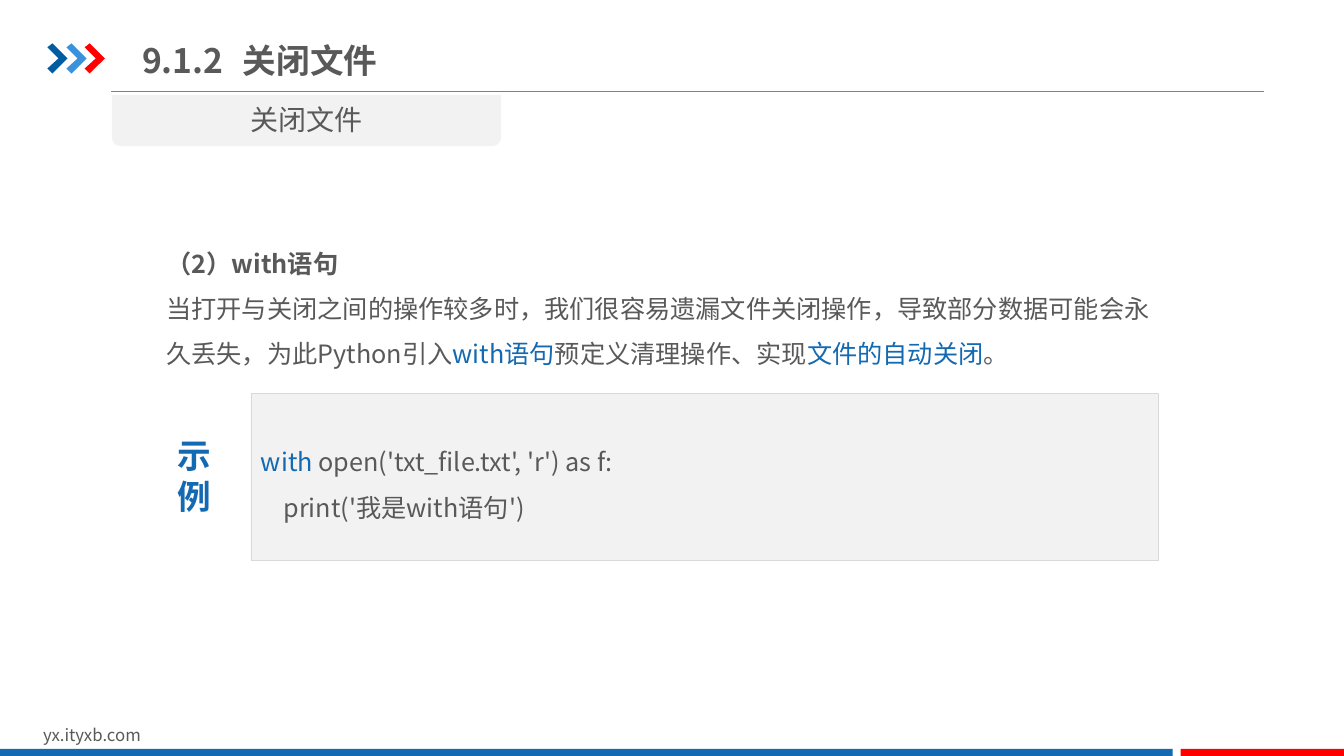
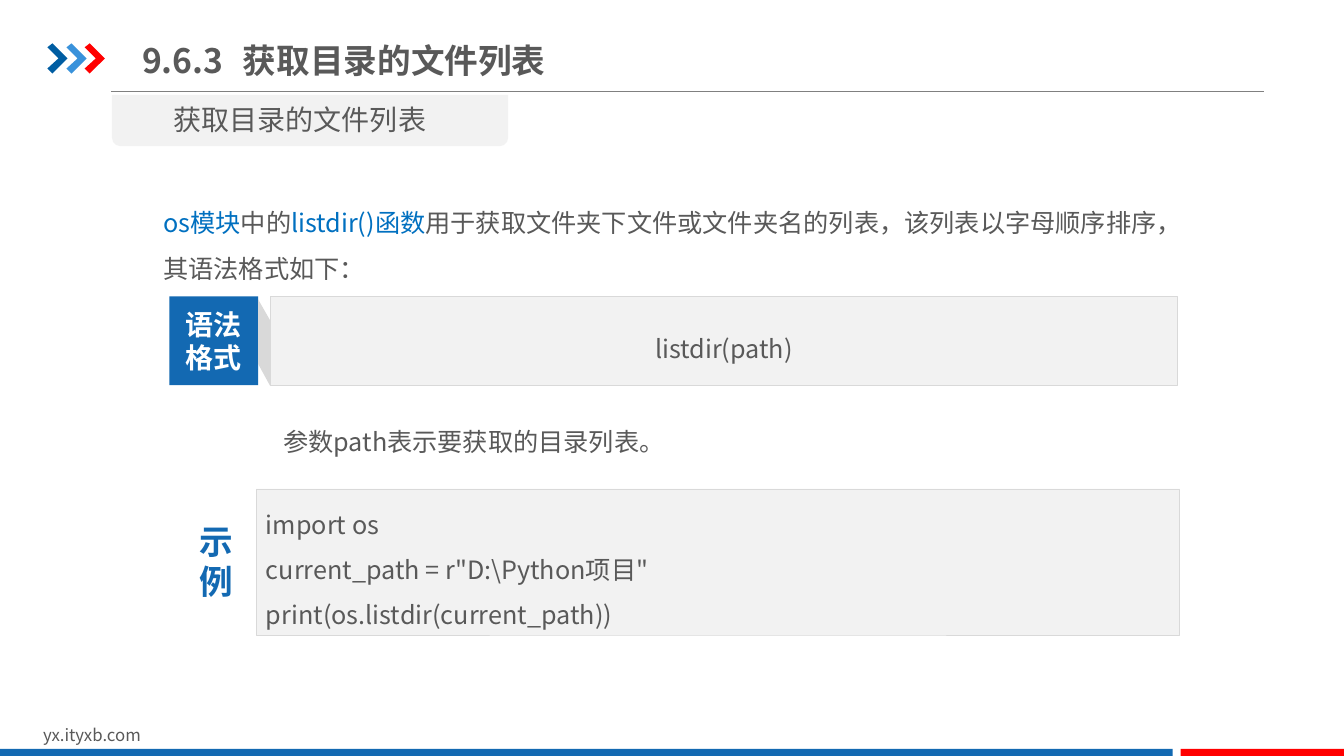
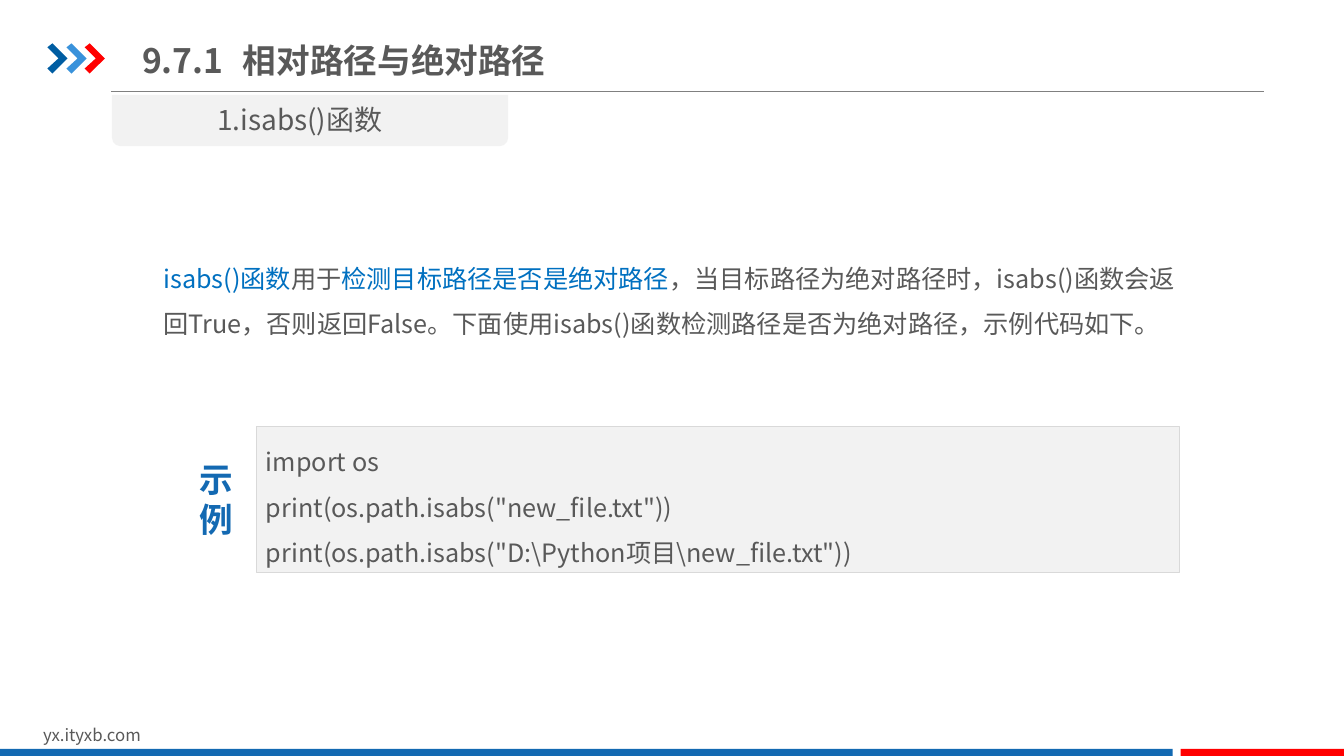
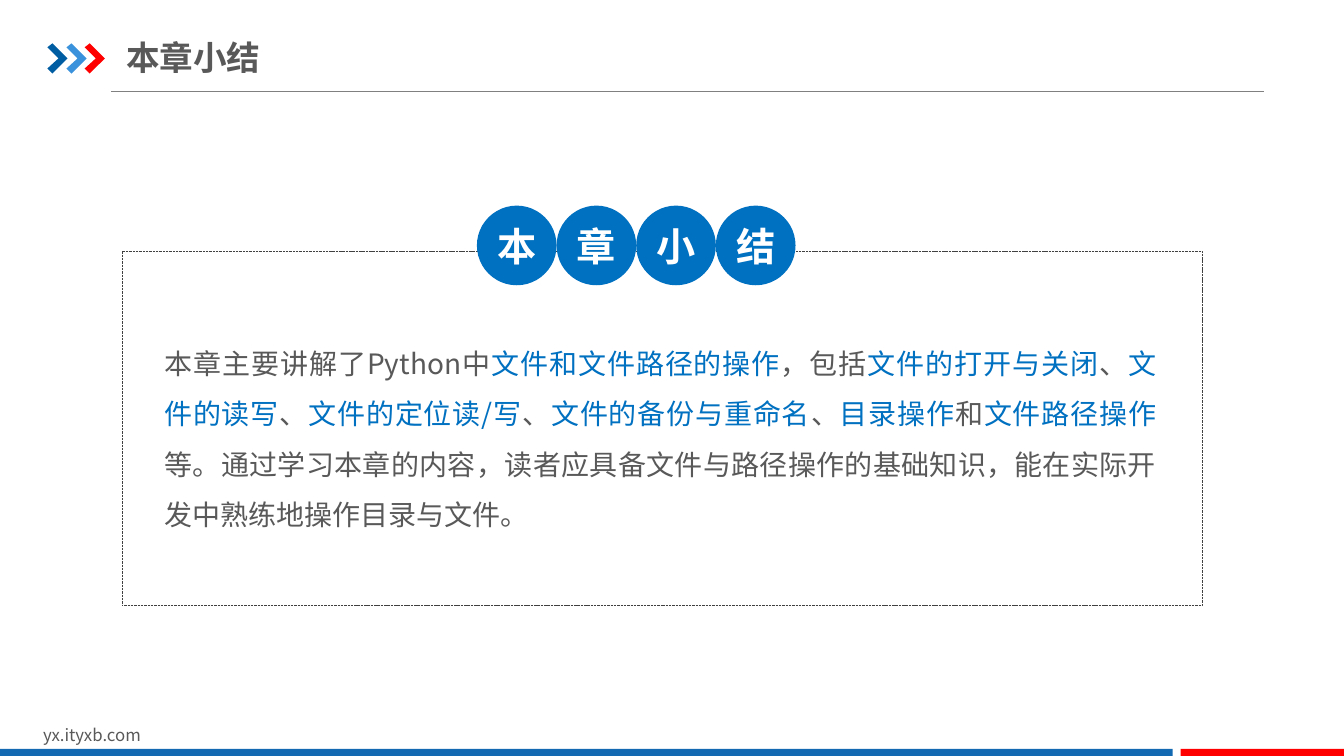
import lxml.etree
import pptx
import pptx.dml.color
import pptx.enum.dml
import pptx.enum.shapes
import pptx.enum.text
import pptx.oxml.ns
import pptx.util

PX = 9144
FONT = "Noto Sans CJK SC"
GREY = "595959"
BLUE = "1369B2"
ACCENT = "0070C0"
RED = "FF0000"
WHITE = "FFFFFF"
PANEL = "F2F2F2"
EDGE = "D9D9D9"
SHAPES = pptx.enum.shapes.MSO_SHAPE
ALIGN = pptx.enum.text.PP_ALIGN
ANCHOR = pptx.enum.text.MSO_ANCHOR
DASH = pptx.enum.dml.MSO_LINE.SQUARE_DOT

TITLE = {"size": 24, "bold": True, "anchor": ANCHOR.MIDDLE}
BODY = {"size": 18, "spacing": 1.5}
SUMMARY = {"size": 20, "spacing": 1.5, "align": ALIGN.JUSTIFY, "inset": (0, 0)}
CODE = {"size": 18, "spacing": 1.5, "anchor": ANCHOR.MIDDLE}
SYNTAX = {**CODE, "align": ALIGN.CENTER}
SECTION = {"size": 20, "align": ALIGN.CENTER}
EXAMPLE = {"size": 24, "bold": True, "colour": BLUE, "align": ALIGN.CENTER, "wrap": False}
LABEL = {"size": 20, "bold": True, "colour": WHITE, "align": ALIGN.CENTER,
         "anchor": ANCHOR.MIDDLE, "wrap": False}
CIRCLE = {**LABEL, "size": 28, "inset": (0, 0)}
FOOTER = {"size": 12}


def px(*lengths):
    return [length * PX for length in lengths]


def rgb(colour):
    return pptx.dml.color.RGBColor.from_string(colour)


def set_values(target, values):
    for name, value in values.items():
        setattr(target, name, value)


def add_element(parent, tag, **attributes):
    return lxml.etree.SubElement(parent, pptx.oxml.ns.qn(tag), **attributes)


def add_run(paragraph, text, colour, text_format):
    run = paragraph.add_run()
    run.text = text
    set_values(run.font, {
        "name": FONT,
        "size": pptx.util.Pt(text_format["size"]),
        "bold": text_format.get("bold", False),
    })
    run.font.color.rgb = rgb(colour)
    add_element(run.font._element, "a:ea", typeface=FONT)


def write(shape, paragraphs, text_format, tab=None):
    frame = shape.text_frame
    across, down = px(*text_format.get("inset", (10, 5)))
    set_values(frame, {
        "word_wrap": text_format.get("wrap", True),
        "auto_size": pptx.enum.text.MSO_AUTO_SIZE.NONE,
        "vertical_anchor": text_format.get("anchor", ANCHOR.TOP),
        "margin_left": across, "margin_right": across,
        "margin_top": down, "margin_bottom": down,
    })
    for index, runs in enumerate(paragraphs):
        paragraph = frame.add_paragraph() if index else frame.paragraphs[0]
        properties = paragraph._p.get_or_add_pPr()
        set_values_on_element = {"marL": "0", "indent": "0"}
        for name, value in set_values_on_element.items():
            properties.set(name, value)
        add_element(properties, "a:buNone")
        if tab:
            tabs = add_element(properties, "a:tabLst")
            add_element(tabs, "a:tab", pos=str(tab * PX), algn="l")
        set_values(paragraph, {
            "alignment": text_format.get("align", ALIGN.LEFT),
            "line_spacing": text_format.get("spacing", 1.0),
            "space_before": pptx.util.Pt(0),
        })
        for run in [runs] if isinstance(runs, str) else runs:
            text, colour = (run, text_format.get("colour", GREY)) if isinstance(run, str) else run
            add_run(paragraph, text, colour, text_format)


def paint(shape, fill=None, line=None, dash=None):
    shape.shadow.inherit = False
    if fill:
        shape.fill.solid()
        shape.fill.fore_color.rgb = rgb(fill)
    else:
        shape.fill.background()
    if line:
        shape.line.color.rgb = rgb(line)
        set_values(shape.line, {"width": pptx.util.Pt(0.25), "dash_style": dash})
    else:
        shape.line.fill.background()
    return shape


def add_shape(slide, kind, box, **colours):
    return paint(slide.shapes.add_shape(kind, *px(*box)), **colours)


def add_outline(slide, points, fill):
    builder = slide.shapes.build_freeform(*points[0], scale=PX)
    builder.add_line_segments(points[1:], close=True)
    return paint(builder.convert_to_shape(), fill)


def add_text(slide, box, paragraphs, text_format):
    shape = slide.shapes.add_textbox(*px(*box))
    write(shape, paragraphs, text_format)
    return shape


def add_rule(slide, start, end):
    rule = slide.shapes.add_connector(
        pptx.enum.shapes.MSO_CONNECTOR.STRAIGHT, *px(*start, *end))
    rule.line.color.rgb = rgb("808080")
    rule.line.width = pptx.util.Pt(0.75)
    add_element(rule.element.spPr, "a:effectLst")
    return rule


def add_chevron(slide, left, fill):
    outline = [(0, 4), (5, 0), (20, 15), (5, 30), (0, 25), (11, 15)]
    return add_outline(slide, [(left + x, 43 + y) for x, y in outline], fill)


def decorate_layout(layout, slide):
    decorations = [add_rule(slide, (110, 91), (1254, 91))]
    for left, fill in [(47, "005DA2"), (66, "3992DB"), (84, RED)]:
        decorations.append(add_chevron(slide, left, fill))
    decorations.append(add_text(slide, (33, 714, 318, 30), ["yx.ityxb.com"], FOOTER))
    for left, width, fill in [(0, 1163, BLUE), (1171, 163, RED)]:
        decorations.append(add_shape(slide, SHAPES.RECTANGLE, (left, 743, width, 9), fill=fill))
    for shape in decorations:
        layout.shapes.element.append(shape.element)


def fill_placeholder(shape, box, paragraphs, text_format, tab=None):
    set_values(shape, dict(zip(("left", "top", "width", "height"), px(*box))))
    write(shape, paragraphs, text_format, tab)


def add_slide(presentation, title, title_left, body_box, body, body_format=BODY):
    layout = presentation.slide_layouts[1]
    slide = presentation.slides.add_slide(layout)
    if len(presentation.slides) == 1:
        decorate_layout(layout, slide)
    fill_placeholder(slide.shapes.title, (title_left, 29, 620, 61), [title], TITLE, tab=104)
    fill_placeholder(slide.placeholders[1], body_box, body, body_format)
    return slide


def add_section(slide, text, tab_width, text_width):
    tab = add_shape(slide, SHAPES.ROUND_2_SAME_RECTANGLE, (111, 94, tab_width, 51), fill=PANEL)
    tab.rotation = 180
    add_text(slide, (111, 97, text_width, 44), [text], SECTION)


def add_panel(slide, box, paragraphs, text_format):
    write(add_shape(slide, SHAPES.RECTANGLE, box, fill=PANEL, line=EDGE), paragraphs, text_format)


def add_example(slide, box, label_left, code):
    add_panel(slide, box, code, CODE)
    label_top = box[1] + (box[3] - 91) // 2
    add_text(slide, (label_left, label_top, 54, 91), ["示", "例"], EXAMPLE)


def build_close_file(presentation):
    slide = add_slide(presentation, "9.1.2\t关闭文件", 131, (155, 226, 1016, 146), [
        "（2）with语句",
        ["当打开与关闭之间的操作较多时，我们很容易遗漏文件关闭操作，导致部分数据可能会永久丢失，为此Python引入",
         ("with语句", BLUE), "预定义清理操作、实现", ("文件的自动关闭", BLUE), "。"],
    ])
    slide.placeholders[1].text_frame.paragraphs[0].runs[0].font.bold = True
    add_example(slide, (249, 390, 900, 166), 166, [
        [("with", BLUE), " open('txt_file.txt', 'r') as f:"],
        "    print('我是with语句')",
    ])
    add_section(slide, "关闭文件", 386, 386)


def build_list_directory(presentation):
    slide = add_slide(presentation, "9.6.3\t获取目录的文件列表", 131, (152, 186, 1032, 101), [
        [("os模块", ACCENT), "中的", ("listdir()函数", ACCENT),
         "用于获取文件夹下文件或文件夹名的列表，该列表以字母顺序排序，其语法格式如下："],
    ])
    add_section(slide, "获取目录的文件列表", 393, 373)
    add_panel(slide, (268, 294, 900, 88), ["listdir(path)"], SYNTAX)
    label = add_shape(slide, SHAPES.RECTANGLE, (168, 294, 88, 88), fill=BLUE)
    write(label, ["语法", "格式"], LABEL)
    add_outline(slide, [(268, 318), (268, 383), (256, 361), (256, 297)], EDGE)
    add_text(slide, (271, 403, 760, 55), ["参数path表示要获取的目录列表。"], BODY)
    add_example(slide, (254, 485, 916, 145), 188, [
        "import os",
        "current_path = r\"D:\\Python项目\"",
        "print(os.listdir(current_path))",
    ])


def build_absolute_path(presentation):
    slide = add_slide(presentation, "9.7.1\t相对路径与绝对路径", 131, (152, 241, 1032, 146), [
        [("isabs()函数", ACCENT), "用于", ("检测目标路径是否是绝对路径", ACCENT),
         "，当目标路径为绝对路径时，isabs()函数会返回True，否则返回False。"
         "下面使用isabs()函数检测路径是否为绝对路径，示例代码如下。"],
    ])
    add_section(slide, "1.isabs()函数", 393, 373)
    add_example(slide, (254, 423, 916, 145), 188, [
        "import os",
        "print(os.path.isabs(\"new_file.txt\"))",
        "print(os.path.isabs(\"D:\\Python项目\\new_file.txt\"))",
    ])


def build_summary(presentation):
    slide = add_slide(presentation, "本章小结", 115, (163, 327, 984, 202), [
        ["本章主要讲解了Python中", ("文件和文件路径的操作", ACCENT), "，包括",
         ("文件的打开与关闭", ACCENT), "、", ("文件的读写", ACCENT), "、",
         ("文件的定位读/写", ACCENT), "、", ("文件的备份与重命名", ACCENT), "、",
         ("目录操作", ACCENT), "和", ("文件路径操作", ACCENT),
         "等。通过学习本章的内容，读者应具备文件与路径操作的基础知识，能在实际开发中熟练地操作目录与文件。"],
    ], SUMMARY)
    slide.shapes.title.top = 26 * PX
    add_shape(slide, SHAPES.RECTANGLE, (121, 249, 1071, 351), line="404040", dash=DASH)
    diameter = 79
    for index, character in enumerate("本章小结"):
        box = (473 + index * diameter, 204, diameter, diameter)
        write(add_shape(slide, SHAPES.OVAL, box, fill=ACCENT), [character], CIRCLE)


def main():
    presentation = pptx.Presentation()
    set_values(presentation, {"slide_width": 1333 * PX, "slide_height": 750 * PX})
    build_close_file(presentation)
    build_list_directory(presentation)
    build_absolute_path(presentation)
    build_summary(presentation)
    presentation.save("out.pptx")


if __name__ == "__main__":
    main()
